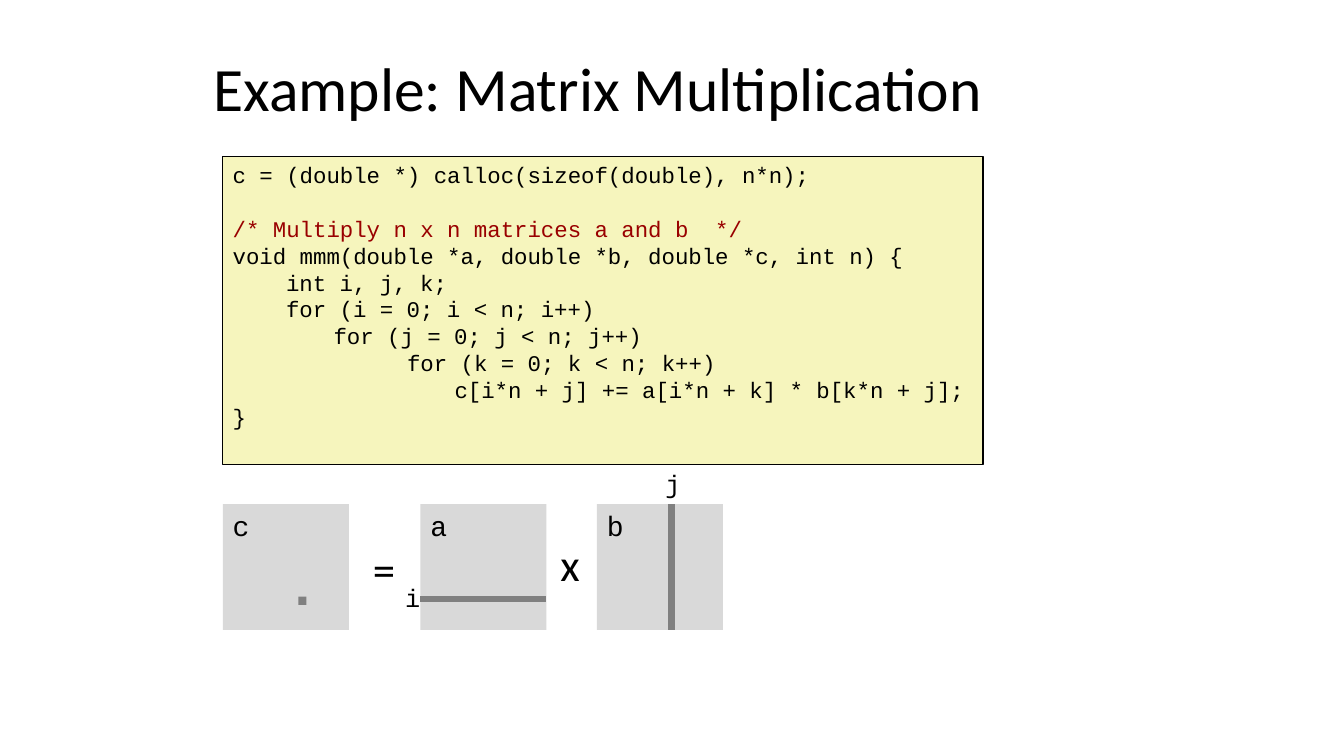
import pptx
import pptx.util
import pptx.dml.color
import pptx.enum.shapes
import pptx.enum.text
import pptx.oxml
import pptx.oxml.ns

Inches = pptx.util.Inches
Pt = pptx.util.Pt
RGBColor = pptx.dml.color.RGBColor
ANCHOR = pptx.enum.text.MSO_ANCHOR

BLACK = RGBColor(0x00, 0x00, 0x00)
COMMENT_RED = RGBColor(0x99, 0x00, 0x00)
CODE_YELLOW = RGBColor(0xF6, 0xF5, 0xBD)
MATRIX_GREY = RGBColor(0xD9, 0xD9, 0xD9)
MARK_GREY = RGBColor(0x80, 0x80, 0x80)

BODY_FONT = "Calibri"
CODE_FONT = "Courier New"

MATRIX_TOP = 5
MATRIX_SIDE = 1.25
MATRICES = {"c": 2.21, "a": 4.17, "b": 5.92}

# Indent in inches, then the line of code
CODE = [
    (0, "c = (double *) calloc(sizeof(double), n*n);"),
    (0, "/* Multiply n x n matrices a and b  */"),
    (0, "void mmm(double *a, double *b, double *c, int n) {"),
    (0.53, "int i, j, k;"),
    (0.53, "for (i = 0; i < n; i++)"),
    (1, "for (j = 0; j < n; j++)"),
    (1.73, "for (k = 0; k < n; k++)"),
    (2.2, "c[i*n + j] += a[i*n + k] * b[k*n + j];"),
    (0, "}"),
]
CODE_PITCH = 19.2


def style_paragraph(para, font, size, color=BLACK):
    para.alignment = pptx.enum.text.PP_ALIGN.LEFT
    for span in para.runs:
        span.font.name = font
        span.font.size = Pt(size)
        span.font.color.rgb = color


def add_label(page, text, left, top, width, height, font, size, wrap=False):
    box = page.shapes.add_textbox(Inches(left), Inches(top), Inches(width), Inches(height))
    box.text_frame.word_wrap = wrap
    box.text_frame.text = text
    style_paragraph(box.text_frame.paragraphs[0], font, size)
    return box


def add_rectangle(page, left, top, width, height, fill):
    box = page.shapes.add_shape(
        pptx.enum.shapes.MSO_SHAPE.RECTANGLE,
        Inches(left), Inches(top), Inches(width), Inches(height))
    box.shadow.inherit = False
    box.fill.solid()
    box.fill.fore_color.rgb = fill
    box.line.fill.background()
    box.text_frame.vertical_anchor = ANCHOR.TOP
    return box


def add_matrix(page, name, left):
    box = add_rectangle(page, left, MATRIX_TOP, MATRIX_SIDE, MATRIX_SIDE, MATRIX_GREY)
    box.text_frame.text = name
    style_paragraph(box.text_frame.paragraphs[0], CODE_FONT, 20)


def add_stripe(page, x1, y1, x2, y2):
    """Mark the row or column of a matrix that takes part in the product."""
    stripe = page.shapes.add_connector(
        pptx.enum.shapes.MSO_CONNECTOR.STRAIGHT,
        Inches(x1), Inches(y1), Inches(x2), Inches(y2))
    stripe.line.color.rgb = MARK_GREY
    stripe.line.width = Pt(4.5)
    properties = stripe._element.spPr
    properties.append(pptx.oxml.parse_xml(
        "<a:effectLst %s/>" % pptx.oxml.ns.nsdecls("a")))


def add_code(page):
    box = add_rectangle(page, 2.21, 1.55, 7.54, 3.06, CODE_YELLOW)
    box.line.color.rgb = BLACK
    box.line.width = Pt(1)
    frame = box.text_frame
    frame.word_wrap = True
    frame.text = "\n".join(line for _, line in CODE)
    for para, (indent, line) in zip(frame.paragraphs, CODE):
        is_comment = line.startswith("/*")
        style_paragraph(para, CODE_FONT, 16, COMMENT_RED if is_comment else BLACK)
        para.line_spacing = Pt(CODE_PITCH)
        if is_comment:
            para.space_before = Pt(CODE_PITCH)
        para._p.get_or_add_pPr().set("marL", str(Inches(indent)))


def main():
    deck = pptx.Presentation()
    deck.slide_width = Inches(13.33)
    deck.slide_height = Inches(7.5)
    page = deck.slides.add_slide(deck.slide_layouts[6])

    title = add_label(page, "Example: Matrix Multiplication",
                      2.02, 0.49, 8.3, 0.83, BODY_FONT, 44, wrap=True)
    title.text_frame.vertical_anchor = ANCHOR.MIDDLE
    title.text_frame.paragraphs[0].line_spacing = 0.9

    add_code(page)
    for name, left in MATRICES.items():
        add_matrix(page, name, left)

    row_left, row_y = MATRICES["a"], 5.94
    column_x = 6.66
    add_stripe(page, row_left, row_y, row_left + MATRIX_SIDE, row_y)
    add_stripe(page, column_x, MATRIX_TOP, column_x, MATRIX_TOP + MATRIX_SIDE)
    add_rectangle(page, 2.96, 5.92, 0.08, 0.08, MARK_GREY)

    add_label(page, "i", 3.92, 5.73, 0.35, 0.4, CODE_FONT, 18)
    add_label(page, "j", 6.5, 4.6, 0.35, 0.4, CODE_FONT, 18)
    add_label(page, "=", 3.6, 5.33, 0.43, 0.64, BODY_FONT, 32)
    add_label(page, "x", 5.46, 5.28, 0.41, 0.64, BODY_FONT, 32)

    deck.save("out.pptx")


if __name__ == "__main__":
    main()
